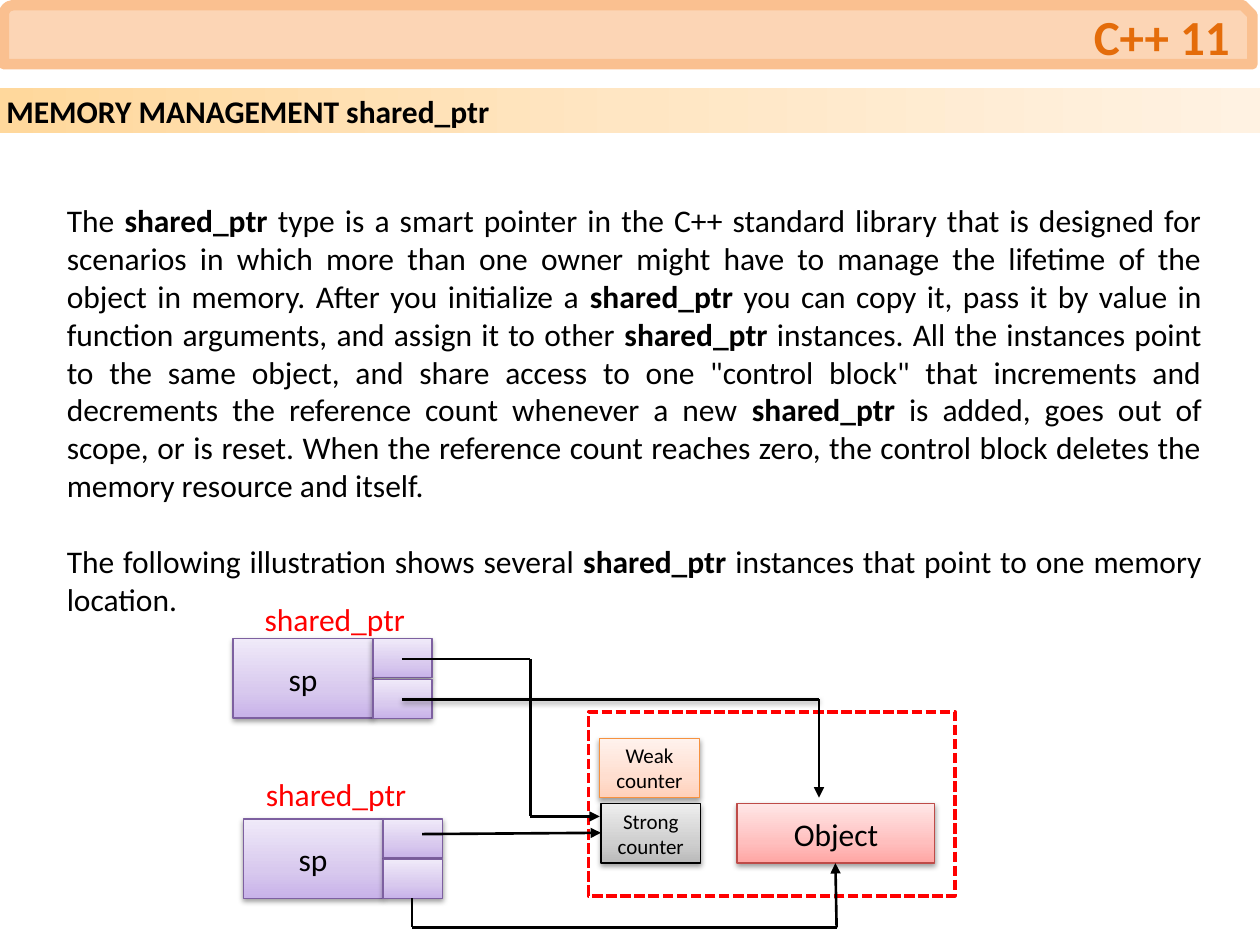
from pptx import Presentation
from pptx.dml.color import RGBColor as RGB
from pptx.enum.dml import MSO_LINE as Dash
from pptx.enum.shapes import MSO_CONNECTOR as Link, MSO_SHAPE as Shape
from pptx.enum.text import MSO_ANCHOR as Anchor, MSO_AUTO_SIZE as Fit, PP_ALIGN as Align
from pptx.oxml import parse_xml
from pptx.oxml.ns import nsdecls, qn
from pptx.util import Inches, Pt

BLACK = RGB(0x00, 0x00, 0x00)
RED = RGB(0xFF, 0x00, 0x00)
ORANGE = RGB(0xE4, 0x6C, 0x0A)
PEACH = RGB(0xFC, 0xD5, 0xB5)
RIM = RGB(0xFA, 0xC0, 0x90)

# Line colour, then gradient colours from the bottom up
PURPLE = (RGB(0x7D, 0x60, 0xA0), RGB(0xC8, 0xB2, 0xE9), RGB(0xD8, 0xC9, 0xEE), RGB(0xF0, 0xEA, 0xF9))
GREY = (BLACK, RGB(0xBA, 0xBA, 0xBA), RGB(0xCF, 0xCF, 0xCF), RGB(0xED, 0xED, 0xED))
ROSE = (RGB(0xBE, 0x4B, 0x48), RGB(0xFF, 0xA5, 0xA3), RGB(0xFF, 0xBF, 0xBE), RGB(0xFF, 0xE6, 0xE6))
AMBER = (RGB(0xF6, 0x92, 0x40), RGB(0xFF, 0xD1, 0xBB), RGB(0xFF, 0xDE, 0xCF), RGB(0xFF, 0xF2, 0xED))
SAND = (RGB(0xFF, 0xD8, 0x9C), RGB(0xFF, 0xE6, 0xC3), RGB(0xFF, 0xF2, 0xE2))

PAD = Inches(0.05)
FRAME = {"word_wrap": True, "auto_size": Fit.NONE, "margin_left": PAD,
         "margin_right": PAD, "margin_top": PAD, "margin_bottom": PAD}
TERM = "shared_ptr"
BODY = [
    "The shared_ptr type is a smart pointer in the C++ standard library that is designed for "
    "scenarios in which more than one owner might have to manage the lifetime of the object in "
    "memory. After you initialize a shared_ptr you can copy it, pass it by value in function "
    "arguments, and assign it to other shared_ptr instances. All the instances point to the same "
    "object, and share access to one \"control block\" that increments and decrements the "
    "reference count whenever a new shared_ptr is added, goes out of scope, or is reset. When the "
    "reference count reaches zero, the control block deletes the memory resource and itself.",
    "The following illustration shows several shared_ptr instances that point to one memory location.",
]


def apply(item, values):
    for name, value in values.items():
        setattr(item, name, value)


def style(font, size, color=BLACK, bold=False):
    apply(font, {"name": "Calibri", "size": Pt(size), "bold": bold})
    font.color.rgb = color


def write(shape, text, size, color=BLACK, bold=False, align=Align.LEFT, anchor=Anchor.MIDDLE):
    frame = shape.text_frame
    apply(frame, {**FRAME, "vertical_anchor": anchor})
    para = frame.paragraphs[0]
    para.alignment = align
    run = para.add_run()
    run.text = text
    style(run.font, size, color, bold)


def shade(shape, colors, mid, angle):
    """Fill with a three-colour linear gradient."""
    stops = "".join(f'<a:gs pos="{pos * 1000}"><a:srgbClr val="{color}"/></a:gs>'
                    for pos, color in zip((0, mid, 100), colors))
    shape.fill.gradient()
    props = shape._element.spPr
    props.replace(props.find(qn("a:gradFill")), parse_xml(
        f'<a:gradFill {nsdecls("a")} rotWithShape="1"><a:gsLst>{stops}</a:gsLst>'
        f'<a:lin ang="{angle * 60000}" scaled="0"/></a:gradFill>'))


def drop(effects):
    """Add a soft shadow below."""
    effects.append(parse_xml(
        f'<a:outerShdw {nsdecls("a")} blurRad="{Pt(3)}" dist="{Pt(1.6)}" dir="5400000" '
        'rotWithShape="0"><a:srgbClr val="000000"><a:alpha val="38000"/></a:srgbClr></a:outerShdw>'))


def add_shape(slide, kind, box):
    shape = slide.shapes.add_shape(kind, *map(Inches, box))
    shape.shadow.inherit = False
    return shape


def add_block(slide, box, tone, text="", size=18):
    """Shaded block with a drop shadow and a centred label."""
    block = add_shape(slide, Shape.RECTANGLE, box)
    shade(block, tone[1:], 35, 270)
    block.line.color.rgb = tone[0]
    block.line.width = Pt(0.75)
    drop(block._element.spPr.find(qn("a:effectLst")))
    if text:
        write(block, text, size, align=Align.CENTER)


def add_text(slide, box, text, size, color):
    write(slide.shapes.add_textbox(*map(Inches, box)), text, size, color, anchor=Anchor.TOP)


def add_line(slide, start, end, arrow=False, shadow=False):
    line = slide.shapes.add_connector(Link.STRAIGHT, *map(Inches, start + end))
    line.line.color.rgb = BLACK
    line.line.width = Pt(1.5)
    if arrow:
        line.line._get_or_add_ln().append(parse_xml(f'<a:tailEnd {nsdecls("a")} type="triangle"/>'))
    effects = parse_xml(f'<a:effectLst {nsdecls("a")}/>')
    line._element.spPr.append(effects)
    if shadow:
        drop(effects)


def add_route(slide, *points, shadow=False):
    """Join points by lines; the last line has the arrowhead."""
    last = len(points) - 2
    for i, (start, end) in enumerate(zip(points, points[1:])):
        add_line(slide, start, end, arrow=i == last, shadow=shadow and i == 0)


def add_body(slide):
    frame = slide.shapes.add_textbox(*map(Inches, (0.48, 1.55, 9.11, 3.56))).text_frame
    apply(frame, FRAME)
    for i, text in enumerate(BODY):
        para = frame.add_paragraph() if i else frame.paragraphs[0]
        apply(para, {"alignment": Align.JUSTIFY, "space_before": Pt(22 if i else 0)})
        # The term is bold wherever it occurs
        for j, part in enumerate(text.split(TERM)):
            for words, bold in ((TERM, True), (part, False))[0 if j else 1:]:
                run = para.add_run()
                run.text = words
                style(run.font, 18, bold=bold)


def add_head(slide):
    band = add_shape(slide, Shape.SNIP_ROUND_RECTANGLE, (0.03, 0.04, 9.91, 0.47))
    band.fill.solid()
    band.fill.fore_color.rgb = PEACH
    band.line.color.rgb = RIM
    band.line.width = Pt(6)
    title = slide.shapes.title
    apply(title, dict(zip(("left", "top", "width", "height"), map(Inches, (0.15, 0.04, 9.66, 0.49)))))
    write(title, "C++ 11", 28, ORANGE, True, Align.RIGHT)
    band._element.addnext(title._element)  # title in front of its band
    strip = add_shape(slide, Shape.RECTANGLE, (0, 0.7, 10, 0.36))
    shade(strip, SAND, 50, 0)
    strip.line.fill.background()
    write(strip, "MEMORY MANAGEMENT shared_ptr", 18, bold=True)


def add_owner(slide, left, top):
    """One pointer with its two slots."""
    add_block(slide, (left, top, 1.11, 0.63), PURPLE, "sp")
    for row in range(2):
        add_block(slide, (left + 1.11, top + 0.32 * row, 0.47, 0.31), PURPLE)


def main():
    deck = Presentation()
    deck.slide_width, deck.slide_height = Inches(10), Inches(7.5)
    slide = deck.slides.add_slide(deck.slide_layouts[5])
    add_body(slide)
    add_head(slide)

    # Pointers
    add_owner(slide, 1.85, 5.07)
    add_owner(slide, 1.93, 6.5)
    for left, top in ((2.05, 4.71), (2.06, 6.1)):
        add_text(slide, (left, top, 1.32, 0.36), TERM, 18, RED)

    # Shared memory
    zone = add_shape(slide, Shape.RECTANGLE, (4.67, 5.65, 2.91, 1.46))
    zone.fill.background()
    zone.line.color.rgb = RED
    apply(zone.line, {"width": Pt(2), "dash_style": Dash.SQUARE_DOT})
    add_block(slide, (4.76, 5.86, 0.79, 0.47), AMBER, "Weak counter", 12)
    add_block(slide, (4.77, 6.38, 0.79, 0.47), GREY, "Strong counter", 12)
    add_block(slide, (5.85, 6.38, 1.57, 0.47), ROSE, "Object")

    # Links from the slots to the counter and the object
    add_route(slide, (3.19, 5.23), (4.21, 5.23), (4.21, 6.48), (4.76, 6.48))
    add_route(slide, (3.19, 5.55), (6.5, 5.55), (6.5, 6.33), shadow=True)
    add_route(slide, (3.35, 6.62), (4.77, 6.61))
    add_route(slide, (3.27, 7.13), (3.27, 7.36), (6.64, 7.36), (6.63, 6.85))
    deck.save("out.pptx")


if __name__ == "__main__":
    main()
